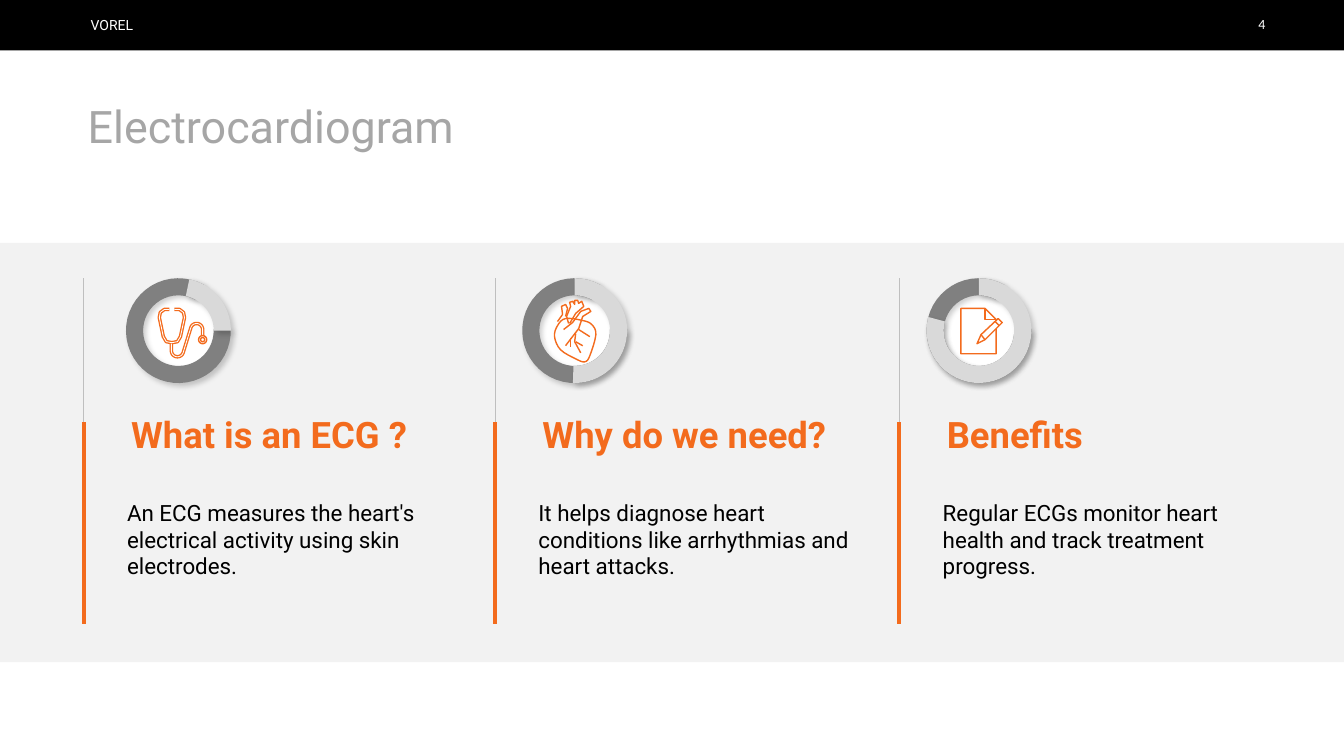
from dataclasses import dataclass
from math import cos, radians, sin
from typing import Callable

from lxml.etree import SubElement
from pptx import Presentation
from pptx.dml.color import RGBColor
from pptx.enum.shapes import MSO_CONNECTOR, MSO_SHAPE
from pptx.enum.text import MSO_ANCHOR, MSO_AUTO_SIZE, PP_ALIGN
from pptx.oxml.ns import qn
from pptx.util import Inches, Pt

Point = tuple[float, float]

ORANGE, WHITE, BLACK = "F36B1D", "FFFFFF", "000000"
RING_Y, RING_OUTER, RING_INNER = 3.28, 0.52, 0.35


@dataclass
class Topic:
    heading: str
    body: str
    rule_x: float
    ring_x: float
    hub_x: float
    light_start: float
    light_end: float
    draw_icon: Callable


def colour(value: str) -> RGBColor:
    return RGBColor.from_string(value)


def write(box, text: str, size: float, ink: str, font: str = "Roboto",
          bold: bool = False, align=PP_ALIGN.LEFT, wrap: bool = True) -> None:
    frame = box.text_frame
    frame.word_wrap = wrap
    frame.auto_size = MSO_AUTO_SIZE.SHAPE_TO_FIT_TEXT
    frame.vertical_anchor = MSO_ANCHOR.TOP
    frame.margin_left = frame.margin_right = Inches(0.05)
    frame.margin_top = frame.margin_bottom = Inches(0.05)
    paragraph = frame.paragraphs[0]
    paragraph.alignment = align
    run = paragraph.add_run()
    run.text = text
    run.font.size, run.font.name, run.font.bold = Pt(size), font, bold
    run.font.color.rgb = colour(ink)


def add_text(shapes, left: float, top: float, width: float, height: float,
             text: str, size: float, ink: str, **style) -> None:
    box = shapes.add_textbox(Inches(left), Inches(top), Inches(width), Inches(height))
    write(box, text, size, ink, **style)


def paint(shape, fill: str) -> None:
    shape.shadow.inherit = False
    shape.fill.solid()
    shape.fill.fore_color.rgb = colour(fill)
    shape.line.fill.background()


def add_block(shapes, kind, left: float, top: float, width: float, height: float,
              fill: str):
    block = shapes.add_shape(kind, Inches(left), Inches(top), Inches(width),
                             Inches(height))
    paint(block, fill)
    return block


def add_rule(shapes, x: float, top: float, ink: str, weight: float) -> None:
    rule = shapes.add_connector(MSO_CONNECTOR.STRAIGHT, Inches(x), Inches(top),
                                Inches(x), Inches(6.19))
    rule.line.color.rgb = colour(ink)
    rule.line.width = Pt(weight)
    SubElement(rule._element.spPr, qn("a:effectLst"))


def add_outline(shapes, points: list[Point], fill: str, close: bool = True):
    scaled = [(Inches(x), Inches(y)) for x, y in points]
    builder = shapes.build_freeform(*scaled[0])
    builder.add_line_segments(scaled[1:], close=close)
    outline = builder.convert_to_shape()
    paint(outline, fill)
    return outline


def add_stroke(shapes, origin: Point, points: list[Point], close: bool = False,
               ink: str = ORANGE, weight: float = 1) -> None:
    placed = [(origin[0] + x / 100, origin[1] + y / 100) for x, y in points]
    stroke = add_outline(shapes, placed, WHITE, close)
    if not close:
        stroke.fill.background()
    stroke.line.color.rgb = colour(ink)
    stroke.line.width = Pt(weight)


def arc_points(x: float, y: float, radius: float, start: float, end: float) -> list[Point]:
    angles = [radians(start + (end - start) * i / 40) for i in range(41)]
    return [(x + radius * cos(a), y + radius * sin(a)) for a in angles]


def smooth(points: list[Point]) -> list[Point]:
    count, curve = len(points), []
    for i in range(count):
        a, b, c, d = (points[(i + k) % count] for k in range(4))
        for t in (0, 0.25, 0.5, 0.75):
            curve.append(tuple(
                q + t * (r - p + t * (2 * p - 5 * q + 4 * r - s
                                      + t * (3 * (q - r) + s - p))) / 2
                for p, q, r, s in zip(a, b, c, d)))
    return curve


def draw_stethoscope(shapes) -> None:
    origin = (1.57, 3.06)
    half = [(11, 1), (6, 1), (2, 4), (1, 9), (5, 28), (8, 33), (13.5, 34)]
    headset = half + [(27 - x, y) for x, y in reversed(half)]
    hose = [(13, 35)] + arc_points(19, 42, 6, 180, 20)
    hose += arc_points(38, 21, 6, 200, 360) + [(44, 28)]
    for ink, weight in ((ORANGE, 2.5), (WHITE, 0.6)):
        for tube in (headset, hose):
            add_stroke(shapes, origin, tube, ink=ink, weight=weight)
    for radius in (4, 2):
        add_stroke(shapes, origin, arc_points(44, 31, radius, 0, 360), close=True)


def draw_heart(shapes) -> None:
    origin = (5.5, 2.98)
    muscle = [(11, 18), (3, 25), (0, 36), (6, 49), (21, 58), (30, 61), (35, 55),
              (41, 34), (37, 24), (28, 20)]
    vessels = [
        [(14, 23), (12, 16), (16, 6), (15, 2), (18, 1), (20, 4), (20, 0), (23, 0),
         (24, 3), (27, 1), (29, 6), (21, 13), (15, 23)],
        [(3, 21), (8, 14), (7, 6), (11, 4), (13, 8), (11, 16)],
        [(9, 29), (18, 22), (26, 11), (34, 8), (36, 11), (28, 16), (24, 28), (11, 45)],
        [(21, 33), (20, 41), (26, 52)],
        [(21, 41), (28, 45)],
        [(16, 37), (16, 46)],
        [(24, 29), (35, 36)],
    ]
    add_stroke(shapes, origin, smooth(muscle), close=True)
    for vessel in vessels:
        add_stroke(shapes, origin, vessel)


def draw_notepad(shapes) -> None:
    origin = (9.53, 3.06)
    page = [(0, 0), (24, 0), (35, 11), (35, 45), (0, 45)]
    pencil = [(16, 35), (20, 26), (37, 10), (41, 14), (24, 31)]
    add_stroke(shapes, origin, page, close=True)
    add_stroke(shapes, origin, [(24, 0), (24, 11), (35, 11)])
    add_stroke(shapes, origin, pencil, close=True)
    add_stroke(shapes, origin, [(20, 26), (24, 31)])
    add_stroke(shapes, origin, [(34, 13), (38, 17)])


TOPICS = [
    Topic("What is an ECG ?",
          "An ECG measures the heart's electrical activity using skin electrodes.",
          0.83, 1.77, 1.29, -78, 0, draw_stethoscope),
    Topic("Why do we need?",
          "It helps diagnose heart conditions like arrhythmias and heart attacks.",
          4.91, 5.7, 5.31, -90, 92, draw_heart),
    Topic("Benefits",
          "Regular ECGs monitor heart health and track treatment progress.",
          8.92, 9.71, 9.31, -90, 195, draw_notepad),
]


def add_arc(shapes, x: float, start: float, end: float, fill: str) -> None:
    edge = arc_points(x, RING_Y, RING_OUTER, start, end)
    edge += arc_points(x, RING_Y, RING_INNER, end, start)
    arc = add_outline(shapes, edge, fill)
    effects = arc._element.spPr.find(qn("a:effectLst"))
    shadow = SubElement(effects, qn("a:outerShdw"), blurRad=str(Pt(4)),
                        dist=str(Pt(3)), dir="2700000", algn="tl", rotWithShape="0")
    ink = SubElement(shadow, qn("a:srgbClr"), val=BLACK)
    SubElement(ink, qn("a:alpha"), val="20000")


def add_topic(shapes, topic: Topic) -> None:
    x = topic.rule_x
    add_text(shapes, x + 0.42, 4.04, 3.28, 0.53, topic.heading, 26, ORANGE, bold=True)
    add_text(shapes, x + 0.38, 4.9, 3.28, 0.89, topic.body, 16, BLACK)
    add_rule(shapes, x, 2.76, "BFBFBF", 0.5)
    add_rule(shapes, x, 4.19, ORANGE, 3)
    add_block(shapes, MSO_SHAPE.OVAL, topic.hub_x, 2.86, 0.85, 0.85, WHITE)
    ring = shapes.add_group_shape().shapes
    add_arc(ring, topic.ring_x, -2, 299, "808080")
    add_arc(ring, topic.ring_x, topic.light_start, topic.light_end, "D9D9D9")
    topic.draw_icon(shapes.add_group_shape().shapes)


def main() -> None:
    deck = Presentation()
    deck.slide_width, deck.slide_height = Inches(13.33), Inches(7.5)
    shapes = deck.slides.add_slide(deck.slide_layouts[5]).shapes
    add_block(shapes, MSO_SHAPE.RECTANGLE, 0, 0, 13.33, 0.5, BLACK)
    add_text(shapes, 0.78, 0.11, 0.59, 0.27, "VOREL", 10, WHITE, align=PP_ALIGN.RIGHT)
    add_text(shapes, 12.41, 0.1, 0.19, 0.27, "4", 10, WHITE, font="Calibri",
             align=PP_ALIGN.RIGHT, wrap=False)
    add_block(shapes, MSO_SHAPE.RECTANGLE, 0, 2.41, 13.33, 4.16, "F2F2F2")
    title = shapes.title
    title.left, title.top = Inches(0.82), Inches(0.93)
    title.width, title.height = Inches(7.21), Inches(0.63)
    write(title, "Electrocardiogram", 32, "A6A6A6")
    for topic in TOPICS:
        add_topic(shapes, topic)
    deck.save("out.pptx")


if __name__ == "__main__":
    main()
